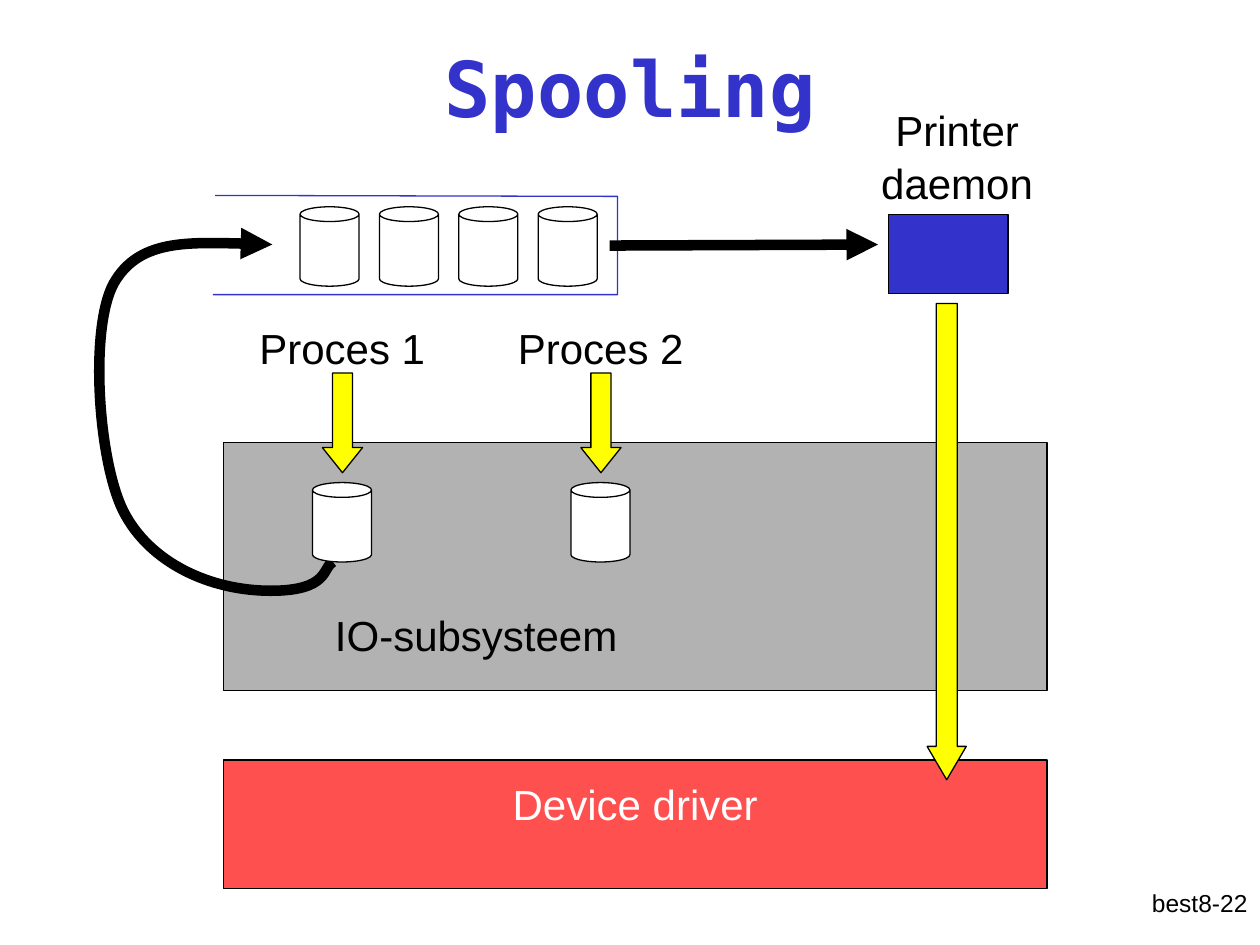
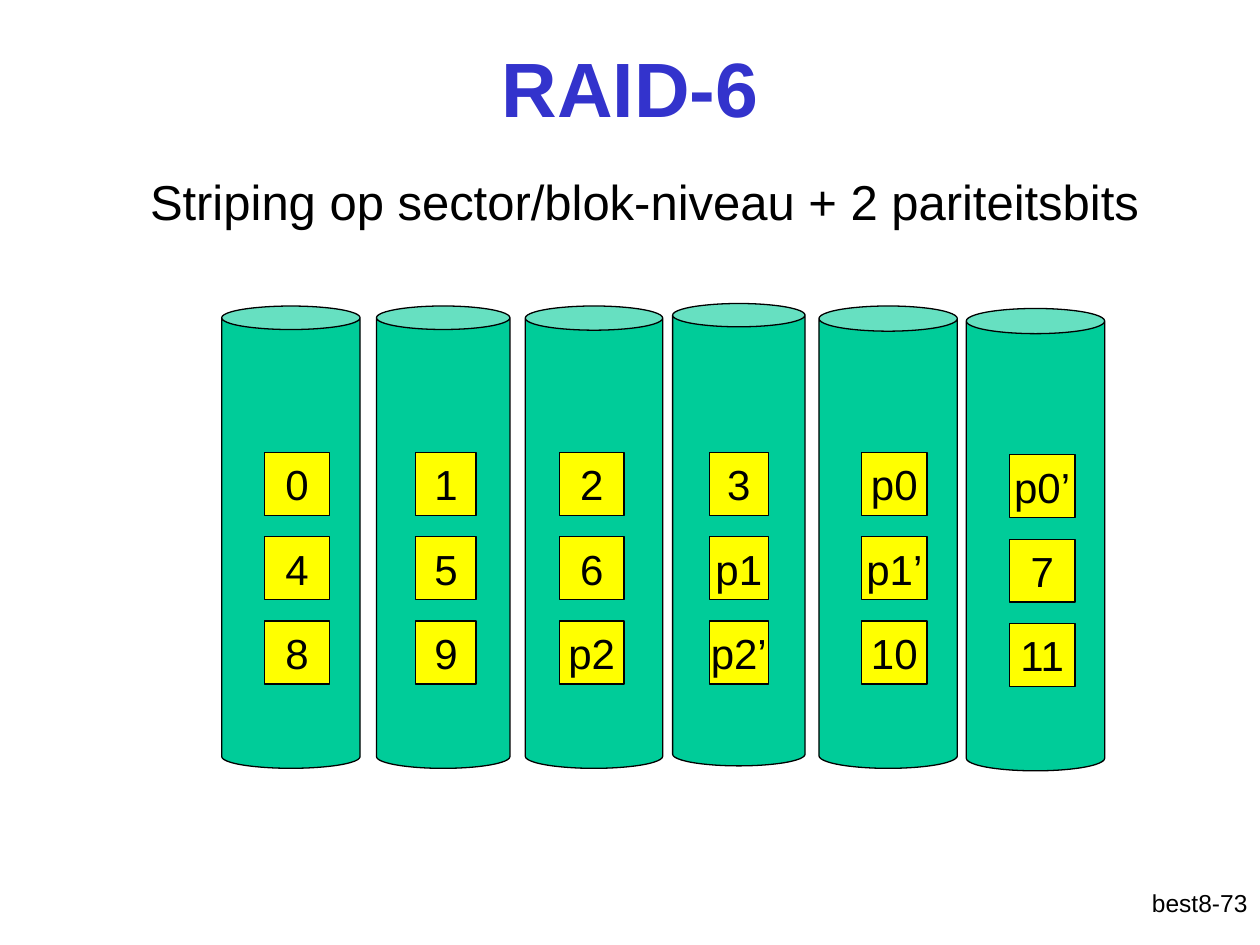
import dataclasses
import itertools
from typing import Optional

import lxml.etree
import pptx
import pptx.dml.color
import pptx.enum.shapes
import pptx.enum.text
import pptx.oxml.ns
import pptx.util

Cm = pptx.util.Cm
Pt = pptx.util.Pt
Kind = pptx.enum.shapes.MSO_SHAPE
Align = pptx.enum.text.PP_ALIGN
Anchor = pptx.enum.text.MSO_ANCHOR
qn = pptx.oxml.ns.qn

COLOURS = {
    "text": "000000",
    "outline": "000000",
    "accent": "3333CC",
    "white": "FFFFFF",
    "subsystem": "B2B2B2",
    "driver": "FF5050",
    "highlight": "FFFF00",
    "disk": "00CC99",
}
THIN = 0.75
THICK = 6
LABEL_SIZE = 24
BLOCK_HEIGHT = 1.27
BLOCK_STEP = 1.7
DISK_HEIGHT = 9.32
PROCESS_STEP = 5.21
QUEUE_STEP = 1.6


@dataclasses.dataclass(frozen=True)
class Area:
    left: float
    top: float
    width: float
    height: float

    def lengths(self) -> tuple:
        return tuple(Cm(value) for value in dataclasses.astuple(self))


@dataclasses.dataclass(frozen=True)
class Style:
    size: int = LABEL_SIZE
    colour: str = "text"
    font: str = "Arial"
    bold: bool = False
    align: Align = Align.CENTER
    anchor: Anchor = Anchor.TOP
    wrap: bool = True
    spacing: float = 1.0


@dataclasses.dataclass(frozen=True)
class Disk:
    left: float
    top: float
    width: float
    lid: float
    block_left: float
    block_top: float
    block_width: float
    labels: tuple


LABEL = Style(spacing=1.05)
BLOCK = Style(anchor=Anchor.MIDDLE, wrap=False)

DISKS = (
    Disk(4.47, 6.17, 2.79, 0.17, 5.33, 9.12, 1.32, ("0", "4", "8")),
    Disk(7.59, 6.17, 2.69, 0.176, 8.38, 9.12, 1.22, ("1", "5", "9")),
    Disk(10.59, 6.17, 2.77, 0.176, 11.28, 9.12, 1.3, ("2", "6", "p2")),
    Disk(13.56, 6.12, 2.67, 0.176, 14.3, 9.12, 1.19, ("3", "p1", "p2’")),
    Disk(16.51, 6.17, 2.79, 0.182, 17.37, 9.12, 1.32, ("p0", "p1’", "10")),
    Disk(19.48, 6.22, 2.79, 0.182, 20.35, 9.17, 1.32, ("p0’", "7", "11")),
)

QUEUE_OUTLINE = ((4.34, 3.94), (12.45, 3.96), (12.45, 5.94), (4.29, 5.94))
SPOOL_CURVE = (
    (6.71, 11.33),
    (6.5, 11.43), (6.65, 11.91), (5.46, 11.91),
    (4.24, 11.91), (3.02, 11.35), (2.49, 10.31),
    (1.98, 9.3), (1.8, 6.63), (2.29, 5.72),
    (2.79, 4.83), (4.14, 4.88), (5.49, 4.93),
)


def rgb(name: str) -> pptx.dml.color.RGBColor:
    return pptx.dml.color.RGBColor.from_string(COLOURS[name])


def write(shape, text: str, style: Style) -> None:
    frame = shape.text_frame
    frame.word_wrap = style.wrap
    frame.vertical_anchor = style.anchor
    frame.text = text
    para = frame.paragraphs[0]
    para.alignment = style.align
    para.line_spacing = style.spacing
    font = para.runs[0].font
    font.name = style.font
    font.size = Pt(style.size)
    font.bold = style.bold
    font.color.rgb = rgb(style.colour)


def add_text(page, area: Area, text: str, style: Style) -> None:
    write(page.shapes.add_textbox(*area.lengths()), text, style)


def set_line(shape, colour: str, width: float) -> None:
    shape.line.color.rgb = rgb(colour)
    shape.line.width = Pt(width)


def add_shape(page, kind: Kind, area: Area, fill: str, adjustments: tuple = ()):
    shape = page.shapes.add_shape(kind, *area.lengths())
    shape.shadow.inherit = False
    shape.fill.solid()
    shape.fill.fore_color.rgb = rgb(fill)
    set_line(shape, "outline", THIN)
    for index, value in enumerate(adjustments):
        shape.adjustments[index] = value
    return shape


def add_arrowhead(shape) -> None:
    line = shape._element.spPr.find(qn("a:ln"))
    lxml.etree.SubElement(line, qn("a:tailEnd"), type="triangle")


def add_outline(page, points: tuple, colour: str, width: float):
    start, *others = [(Cm(x), Cm(y)) for x, y in points]
    builder = page.shapes.build_freeform(*start)
    builder.add_line_segments(others, close=False)
    shape = builder.convert_to_shape()
    shape.shadow.inherit = False
    shape.fill.background()
    set_line(shape, colour, width)
    return shape


def bend(shape) -> None:
    segments = list(shape._element.iter(qn("a:lnTo")))
    for first, *controls in zip(*[iter(segments)] * 3):
        first.tag = qn("a:cubicBezTo")
        for control in controls:
            first.append(control[0])
            control.getparent().remove(control)


def add_arrow(page, start: tuple, end: tuple) -> None:
    ends = [Cm(value) for value in itertools.chain(start, end)]
    arrow = page.shapes.add_connector(pptx.enum.shapes.MSO_CONNECTOR.STRAIGHT, *ends)
    set_line(arrow, "outline", THICK)
    add_arrowhead(arrow)
    lxml.etree.SubElement(arrow._element.spPr, qn("a:effectLst"))


def add_page(deck, title: str, number: str, title_font: Optional[str] = None):
    page = deck.slides.add_slide(deck.slide_layouts[6])
    add_text(page, Area(20.12, 17.78, 5.28, 1.27), number,
             Style(size=14, align=Align.RIGHT))
    add_text(page, Area(1.91, 0.15, 21.59, 3.18), title,
             Style(44, "accent", title_font or "Arial", True, anchor=Anchor.MIDDLE))
    return page


def add_can(page, left: float, top: float) -> None:
    add_shape(page, Kind.CAN, Area(left, top, 1.19, 1.6), "white", (0.25,))


def add_spooling(deck) -> None:
    page = add_page(deck, "Spooling", "best8-22", "DejaVu Sans Mono")
    add_shape(page, Kind.RECTANGLE, Area(4.5, 8.92, 16.61, 5), "subsystem")
    driver = add_shape(page, Kind.RECTANGLE, Area(4.5, 15.32, 16.61, 2.59), "driver")
    write(driver, "Device driver", Style(colour="white"))
    driver.text_frame.margin_top = Cm(0.38)
    add_shape(page, Kind.DOWN_ARROW, Area(18.69, 6.12, 0.79, 9.6), "highlight",
              (0.536, 0.851))
    add_text(page, Area(6.5, 12.12, 6.2, 1.27), "IO-subsysteem", LABEL)

    for index in range(4):
        add_can(page, 6.05 + index * QUEUE_STEP, 4.17)
    add_outline(page, QUEUE_OUTLINE, "accent", THIN)
    add_shape(page, Kind.RECTANGLE, Area(17.91, 4.32, 2.41, 1.6), "accent")
    add_arrow(page, (12.29, 4.95), (17.7, 4.93))
    add_text(page, Area(16.69, 1.93, 5.21, 2.29), "Printer daemon", LABEL)

    spool = add_outline(page, SPOOL_CURVE, "outline", THICK)
    bend(spool)
    add_arrowhead(spool)

    for index, name in enumerate(("Proces 1", "Proces 2")):
        shift = index * PROCESS_STEP
        add_text(page, Area(4.5 + shift, 6.32, 4.8, 1.27), name, LABEL)
        add_shape(page, Kind.DOWN_ARROW, Area(6.5 + shift, 7.52, 0.81, 2.01),
                  "highlight", (0.5, 0.624))
        add_can(page, 6.3 + shift, 9.73)


def add_disk(page, disk: Disk) -> None:
    add_shape(page, Kind.CAN, Area(disk.left, disk.top, disk.width, DISK_HEIGHT),
              "disk", (disk.lid,))
    for row, label in enumerate(disk.labels):
        top = disk.block_top + row * BLOCK_STEP
        area = Area(disk.block_left, top, disk.block_width, BLOCK_HEIGHT)
        write(add_shape(page, Kind.RECTANGLE, area, "highlight"), label, BLOCK)


def add_raid(deck) -> None:
    page = add_page(deck, "RAID-6", "best8-73")
    add_text(page, Area(2.69, 3.33, 20.6, 11.43),
             "Striping op sector/blok-niveau + 2 pariteitsbits", Style(size=28))
    for disk in DISKS:
        add_disk(page, disk)


def main() -> None:
    deck = pptx.Presentation()
    deck.slide_width = Cm(25.4)
    deck.slide_height = Cm(19.05)
    add_spooling(deck)
    add_raid(deck)
    deck.save("out.pptx")


if __name__ == "__main__":
    main()
